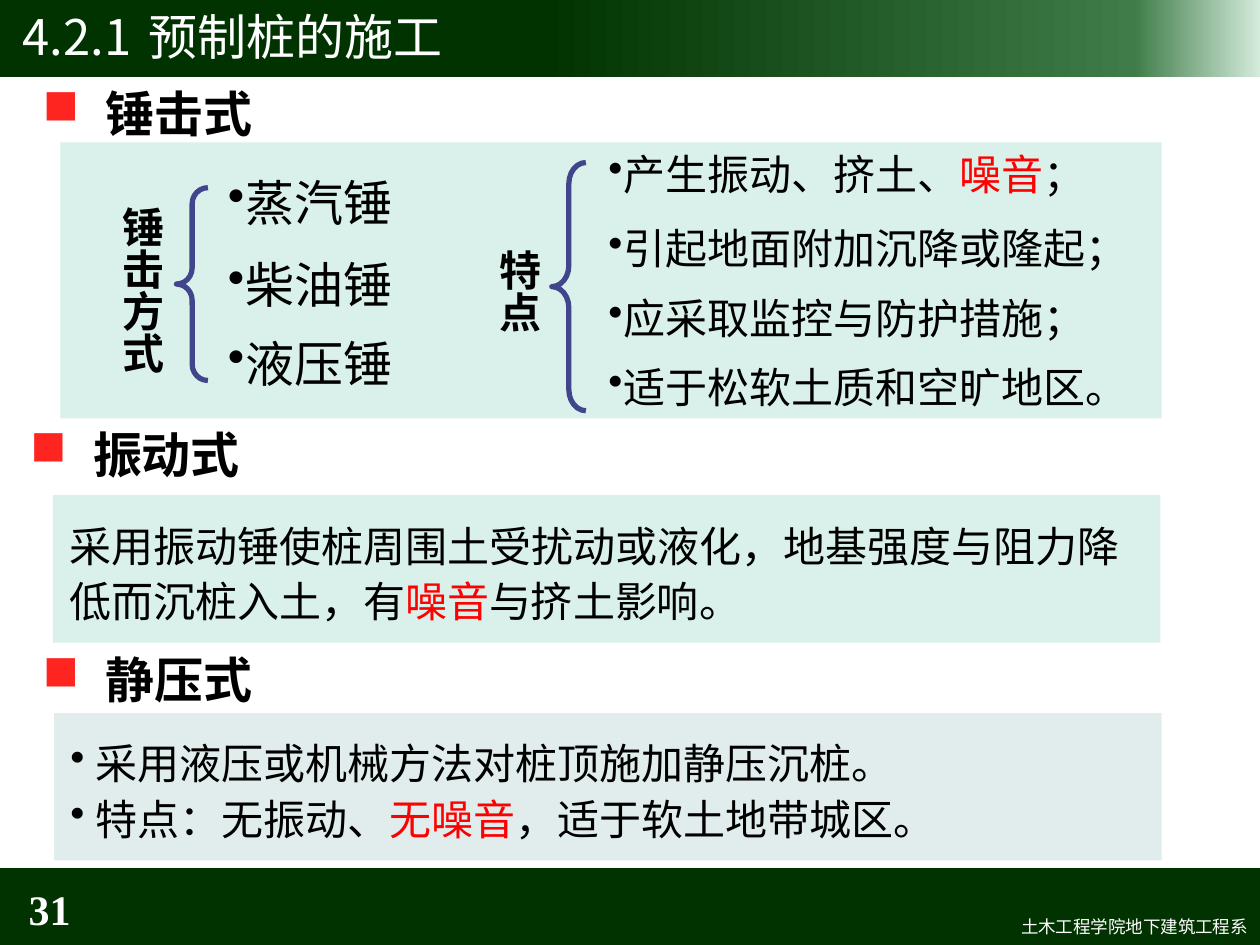
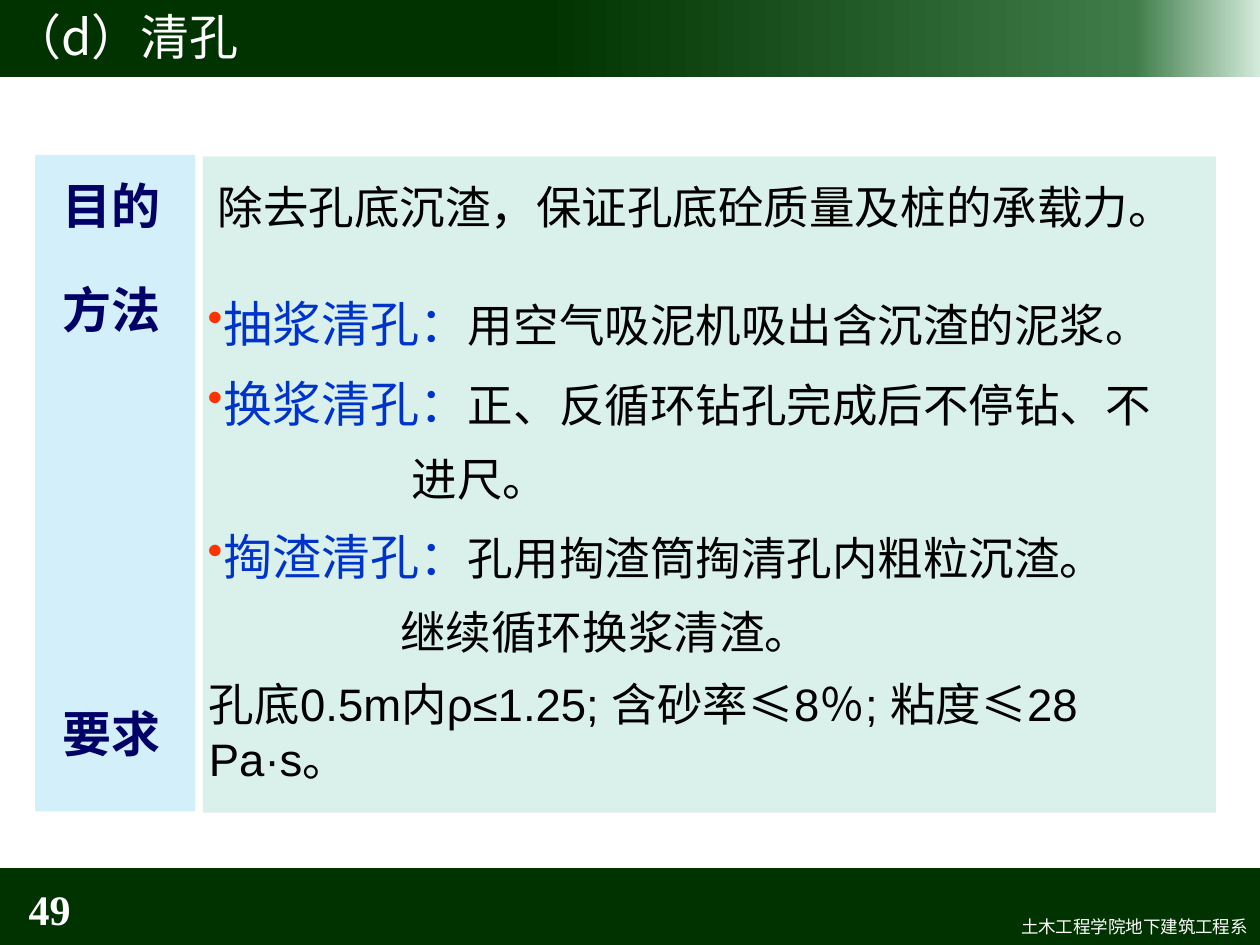
"""Builds two lecture slides on precast piles and borehole cleaning."""
from lxml import etree
from copy import deepcopy
from pptx import Presentation, util as u
from pptx.dml.color import RGBColor
from pptx.enum import shapes as es, text as et
from pptx.oxml.ns import qn

DARK = RGBColor(0x00, 0x33, 0x00)
GREEN = RGBColor(0x3F, 0x7C, 0x49)
PALE = RGBColor(0xD4, 0xEB, 0xDB)
MINT = RGBColor(0xD9, 0xF1, 0xEA)
GREY = RGBColor(0xE0, 0xED, 0xEC)
SKY = RGBColor(0xD2, 0xEF, 0xFA)
WHITE = RGBColor(0xFF, 0xFF, 0xFF)
BLACK = RGBColor(0x00, 0x00, 0x00)
RED = RGBColor(0xFF, 0x00, 0x00)
SQUARE = RGBColor(0xFE, 0x25, 0x20)
DOT = RGBColor(0xFF, 0x33, 0x00)
BLUE = RGBColor(0x00, 0x33, 0xCC)
NAVY = RGBColor(0x00, 0x00, 0x66)
VIOLET = RGBColor(0x40, 0x45, 0x8C)
CJK, SANS, SERIF = "Noto Sans CJK SC", "Arial", "Times New Roman"
MID = et.MSO_ANCHOR.MIDDLE
LEFT, CENTER, RIGHT = et.PP_ALIGN.LEFT, et.PP_ALIGN.CENTER, et.PP_ALIGN.RIGHT

DEPT = "土木工程学院地下建筑工程系"
HEADS = [("锤击式", 0.24, 0.61), ("振动式", 0.14, 3.32), ("静压式", 0.24, 5.1)]
PANELS = [(0.48, 1.13, 8.74, 2.19, MINT), (0.42, 3.93, 8.79, 1.17, MINT),
          (0.43, 5.66, 8.79, 1.17, GREY)]
BRACES = [("锤击方式", (0.77, 1.54, 0.61, 1.45), (1.4, 1.49, 0.25, 1.53), 0.51),
          ("特点", (3.76, 1.88, 0.61, 0.77), (4.38, 1.29, 0.27, 1.97), 0.62)]
HAMMERS = [("蒸汽锤", 1.32, 0.57, 1), ("柴油锤", 1.87, 0.67, 1.2),
           ("液压锤", 2.5, 0.67, 1.2)]
TRAITS = [(["产生振动、挤土、", ("噪音", RED), "；"], 1.13, 4.05, 1),
          ("引起地面附加沉降或隆起；", 1.7, 4.39, 1.1),
          ("应采取监控与防护措施；", 2.25, 4.15, 1.1),
          ("适于松软土质和空旷地区。", 2.8, 4.39, 1.1)]
VIBRATE = ["采用振动锤使桩周围土受扰动或液化，地基强度与阻力降低而沉桩入土，有",
           ("噪音", RED), "与挤土影响。"]
PRESS = [("采用液压或机械方法对桩顶施加静压沉桩。", 5.8, 6.81),
         (["特点：无振动、", ("无噪音", RED), "，适于软土地带城区。"], 6.25, 7.14)]

LABELS = [("目的", 1.23), ("方法", 2.06), ("要求", 5.42)]
PURPOSE = "除去孔底沉渣，保证孔底砼质量及桩的承载力。"
METHODS = [("抽浆清孔：", "用空气吸泥机吸出含沉渣的泥浆。", None, 0),
           ("换浆清孔：", "正、反循环钻孔完成后不停钻、不", "进尺。", 1.62),
           ("掏渣清孔：", "孔用掏渣筒掏清孔内粗粒沉渣。", "继续循环换浆清渣。", 1.53)]
NEEDS = "孔底0.5m内ρ≤1.25; 含砂率≤8％; 粘度≤28 Pa·s。"


def add(node, tag, **attrs):
    return etree.SubElement(node, qn(tag), attrs)


def write(slide, at, text, size=24, font=SANS, color=BLACK, bold=False,
          align=LEFT, anchor=MID, wrap=False, inset=0.1, space=1, mark=None,
          tint=None, scale=None, left=0, hang=0, tab=None, vert=None, frame=None):
    """Write one paragraph in a new box, or append it to a given frame."""
    if frame is None:
        frame = slide.shapes.add_textbox(*map(u.Inches, at)).text_frame
        frame.word_wrap, frame.vertical_anchor = wrap, anchor
        frame.margin_left = u.Inches(inset)
        if vert:
            frame._txBody.bodyPr.set("vert", vert)
        para = frame.paragraphs[0]
    else:
        para = frame.add_paragraph()
    para.alignment, para.line_spacing = align, space
    props = para._p.get_or_add_pPr()
    props.set("marL", str(u.Inches(left)))
    props.set("indent", str(u.Inches(-hang)))
    if tint is not None:
        add(add(props, "a:buClr"), "a:srgbClr", val=str(tint))
    if scale:
        add(props, "a:buSzPct", val=str(scale * 1000))
    if mark:
        add(props, "a:buChar", char=mark)
    if tab:
        add(add(props, "a:tabLst"), "a:tab", pos=str(u.Inches(tab)), algn="l")
    for part in [text] if isinstance(text, str) else text:
        words, hue, pts = ((part,) if isinstance(part, str) else part) + (None,) * (
            2 if isinstance(part, str) else 3 - len(part))
        run = para.add_run()
        run.text = words
        run.font.name, run.font.bold = font, bold
        run.font.size = u.Pt(pts or size)
        run.font.color.rgb = color if hue is None else hue
        add(run._r.get_or_add_rPr(), "a:ea", typeface=CJK)
    return frame


def draw(slide, at, fill=None, kind=es.MSO_SHAPE.RECTANGLE):
    shape = slide.shapes.add_shape(kind, *map(u.Inches, at))
    shape.shadow.inherit = False
    shape.line.fill.background()
    if fill is None:
        shape.fill.background()
    else:
        shape.fill.solid()
        shape.fill.fore_color.rgb = fill
    return shape


def start(deck, title, page, inset=0.1, tab=None):
    slide = deck.slides.add_slide(deck.slide_layouts[6])
    band = draw(slide, (0, -0.03, 10, 0.64), DARK)
    band.fill.gradient()
    band.fill.gradient_angle = 0
    stops = band._element.spPr.find(".//" + qn("a:gsLst"))
    stops.append(deepcopy(stops[0]))
    for stop, (place, hue) in zip(band.fill.gradient_stops,
                                  [(0.43, DARK), (0.9, GREEN), (1, PALE)]):
        stop.position, stop.color.rgb = place, hue
    draw(slide, (0, 6.89, 10, 0.64), DARK)
    write(slide, (4.21, 7.22, 5.79, 0.27), DEPT, size=10, font=CJK, color=WHITE,
          align=RIGHT, anchor=et.MSO_ANCHOR.TOP, wrap=True)
    write(slide, (0, -0.03, 10, 0.63), title, size=28, font=CJK, color=WHITE,
          wrap=True, inset=inset, tab=tab)
    write(slide, (0, 7.01, 0.66, 0.4), page, font=SERIF, color=WHITE, bold=True,
          align=RIGHT, wrap=True)
    return slide


def piles(deck):
    slide = start(deck, "4.2.1\t预制桩的施工", "31", inset=0.18, tab=1.13)
    for *at, fill in PANELS:
        draw(slide, at, fill)
    for text, x, y in HEADS:
        write(slide, (x, y, 1.88, 0.57), text, size=28, bold=True, mark="■",
              tint=SQUARE, left=0.5, hang=0.5)
    for text, at, curve, bend in BRACES:
        write(slide, at, text, font=SERIF, bold=True, vert="eaVert",
              anchor=et.MSO_ANCHOR.TOP)
        brace = draw(slide, curve, kind=es.MSO_SHAPE.LEFT_BRACE)
        brace.adjustments[0] = bend
        brace.line.color.rgb, brace.line.width = VIOLET, u.Pt(3)
    for text, y, high, space in HAMMERS:
        write(slide, (1.71, y, 1.55, high), text, size=28, mark="•", space=space)
    for text, y, wide, space in TRAITS:
        write(slide, (4.73, y, wide, 0.5), text, mark="•", space=space)
    write(slide, (0.45, 4.05, 8.66, 0.96), VIBRATE, wrap=True, space=1.1)
    for text, y, wide in PRESS:
        write(slide, (0.46, y, wide, 0.5), text, mark="•", left=0.2, hang=0.2)


def clean(deck):
    slide = start(deck, "（d）清孔", "49")
    draw(slide, (0.28, 1.23, 1.27, 5.21), SKY)
    draw(slide, (1.61, 1.24, 8.04, 5.21), MINT)
    for text, y in LABELS:
        write(slide, (0.25, y, 1.27, 0.79), text, size=28, font=SERIF, color=NAVY,
              bold=True, align=CENTER, wrap=True)
    write(slide, (1.63, 1.37, 7.82, 0.53), PURPOSE, size=26)
    frame = None
    for name, text, more, left in METHODS:
        frame = write(slide, (1.55, 2.12, 7.95, 3.16), [(name, BLUE, 28), text],
                      size=26, wrap=True, space=1.35, mark="•", tint=DOT,
                      scale=90, frame=frame)
        if more:
            write(slide, None, more, size=26, space=1.35, left=left, frame=frame)
    write(slide, (1.56, 5.53, 7.89, 0.54), NEEDS, size=26, wrap=True)


def main():
    deck = Presentation()
    deck.slide_width, deck.slide_height = u.Inches(10), u.Inches(7.5)
    piles(deck)
    clean(deck)
    deck.save("out.pptx")


if __name__ == "__main__":
    main()
